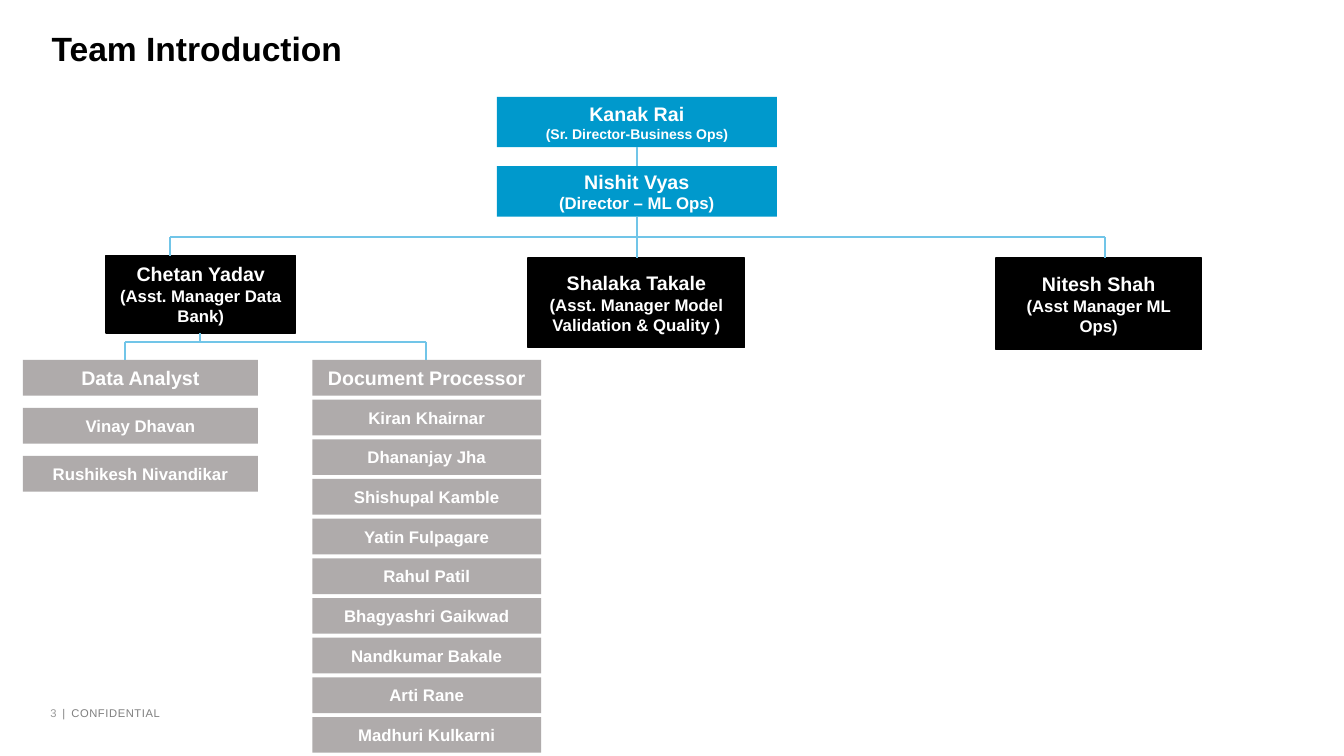
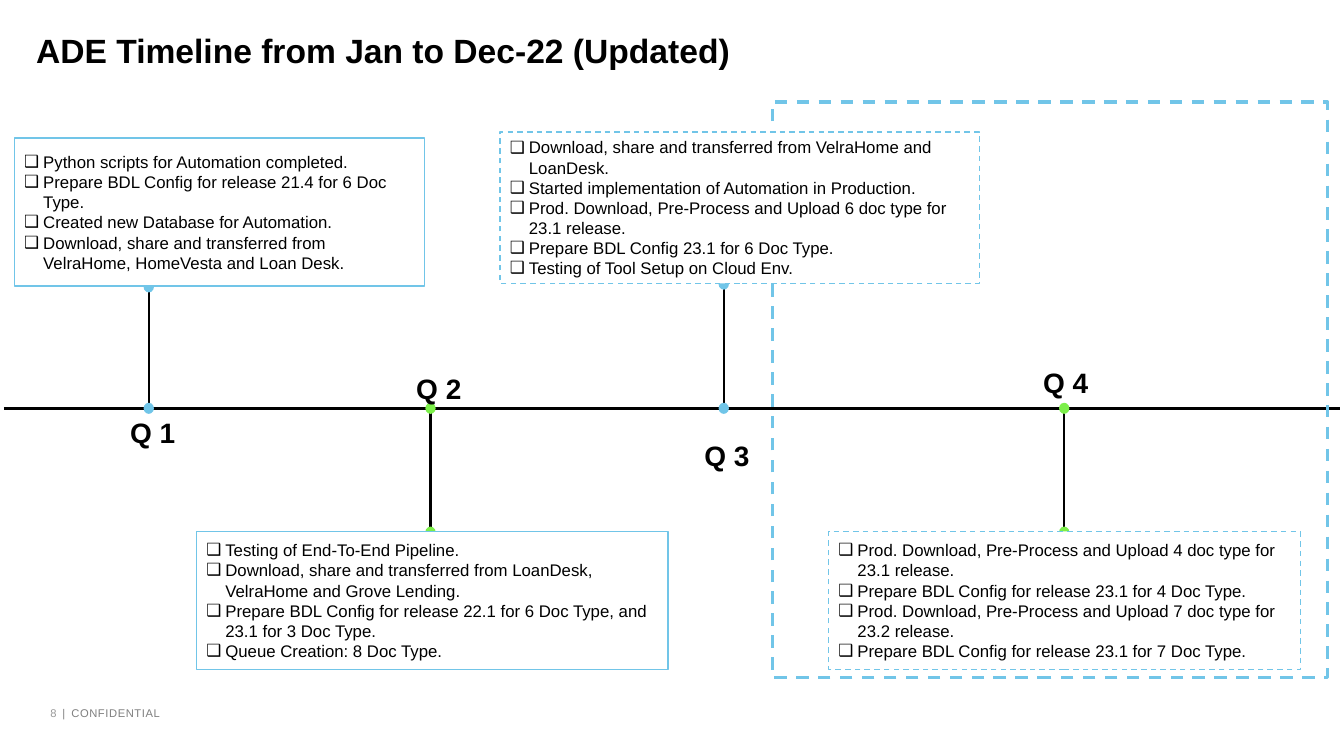
from dataclasses import dataclass

from lxml.etree import SubElement
from pptx import Presentation
from pptx.dml.color import RGBColor
from pptx.enum.dml import MSO_LINE_DASH_STYLE as Dash
from pptx.enum.shapes import MSO_CONNECTOR as Connector, MSO_SHAPE as Shape
from pptx.enum.text import MSO_ANCHOR as Anchor, MSO_AUTO_SIZE as AutoSize, PP_ALIGN as Align
from pptx.oxml.ns import qn
from pptx.util import Cm, Pt


@dataclass(frozen=True)
class Theme:
    font: str = "Arial"
    black: str = "000000"
    white: str = "FFFFFF"
    executive: str = "0099CC"
    member: str = "AFABAB"
    line: str = "71C5E8"
    upper_dot: str = "70C5E8"
    lower_dot: str = "7CEF4A"
    footer_colors: tuple = ("999999", "808080", "7F7F7F")
    title_size: int = 24
    quarter_size: int = 20
    name_size: int = 14
    body_size: int = 12
    small_size: int = 10
    footer_size: int = 8


@dataclass(frozen=True)
class Box:
    """A rectangle in centimetres."""
    left: float
    top: float
    width: float
    height: float

    @property
    def bottom(self):
        return self.top + self.height

    @property
    def center_x(self):
        return self.left + self.width / 2

    def inner(self, left, top, width, height):
        return Box(self.left + left, self.top + top, width, height)

    def lengths(self):
        return [Cm(value) for value in (self.left, self.top, self.width, self.height)]


THEME = Theme()


# Shared parts

def rgb(value):
    return RGBColor.from_string(value)


def style_font(paragraph, size, color=None, bold=False):
    font = paragraph.font
    font.name, font.size, font.bold = THEME.font, Pt(size), bold
    if color:
        font.color.rgb = rgb(color)


def clear_margins(frame):
    frame.margin_left = frame.margin_right = frame.margin_top = frame.margin_bottom = 0


def add_shape(slide, box, kind=Shape.RECTANGLE, fill=None, line=None, width=1, dashed=False):
    shape = slide.shapes.add_shape(kind, *box.lengths())
    shape.shadow.inherit = False
    if fill:
        shape.fill.solid()
        shape.fill.fore_color.rgb = rgb(fill)
    else:
        shape.fill.background()
    if line:
        shape.line.color.rgb = rgb(line)
        shape.line.width = Pt(width)
        if dashed:
            shape.line.dash_style = Dash.DASH
    else:
        shape.line.fill.background()
    return shape


def add_line(slide, start, end, color=THEME.line, width=1.5):
    points = [Cm(value) for value in (*start, *end)]
    connector = slide.shapes.add_connector(Connector.STRAIGHT, *points)
    connector.line.color.rgb = rgb(color)
    connector.line.width = Pt(width)
    SubElement(connector._element.spPr, qn("a:effectLst"))


def add_text_box(slide, box, wrap):
    frame = slide.shapes.add_textbox(*box.lengths()).text_frame
    frame.word_wrap = wrap
    clear_margins(frame)
    return frame


def add_title(slide, text, box):
    title = slide.shapes.title
    title.left, title.top, title.width, title.height = box.lengths()
    frame = title.text_frame
    frame.text = text
    frame.auto_size = AutoSize.NONE
    frame.vertical_anchor = Anchor.TOP
    clear_margins(frame)
    paragraph = frame.paragraphs[0]
    paragraph.alignment = Align.LEFT
    paragraph.line_spacing = 0.9
    style_font(paragraph, THEME.title_size, THEME.black, bold=True)


def add_footer(slide, number):
    frame = add_text_box(slide, Box(1.27, 17.8, 4.4, 0.34), wrap=True)
    paragraph = frame.paragraphs[0]
    tabs = SubElement(paragraph._p.get_or_add_pPr(), qn("a:tabLst"))
    for position in (0.3, 0.53):
        SubElement(tabs, qn("a:tab"), pos=str(Cm(position)), algn="l")
    style_font(paragraph, THEME.footer_size)
    for text, color in zip((f"{number}\t", "|\t", "CONFIDENTIAL"), THEME.footer_colors):
        run = paragraph.add_run()
        run.text = text
        run.font.color.rgb = rgb(color)
    run._r.get_or_add_rPr().set("spc", "40")


def add_slide(presentation, title, title_box, number):
    slide = presentation.slides.add_slide(presentation.slide_layouts[5])
    add_title(slide, title, title_box)
    add_footer(slide, number)
    return slide


# Team slide

EXECUTIVES = [
    ("Kanak Rai", "(Sr. Director-Business Ops)", THEME.small_size),
    ("Nishit Vyas", "(Director – ML Ops)", THEME.body_size),
]
# Name, role, place in the chart, position of the line above
MANAGERS = [
    ("Chetan Yadav", "(Asst. Manager Data Bank)", (2.09, 4, 4.78, 1.95), 3.71),
    ("Shalaka Takale", "(Asst. Manager Model Validation & Quality )", (12.73, 4.06, 5.46, 2.26), 15.47),
    ("Nitesh Shah", "(Asst Manager ML Ops)", (24.52, 4.06, 5.18, 2.31), 27.26),
]
# Left, width, row pitch, position of the line above, heading and members
TEAMS = [
    (0, 5.92, 1.21, 2.57, ["Data Analyst", "Vinay Dhavan", "Rushikesh Nivandikar"]),
    (7.29, 5.77, 1, 10.16, [
        "Document Processor", "Kiran Khairnar", "Dhananjay Jha", "Shishupal Kamble",
        "Yatin Fulpagare", "Rahul Patil", "Bhagyashri Gaikwad", "Nandkumar Bakale",
        "Arti Rane", "Madhuri Kulkarni"]),
]


def add_card(slide, box, fill, lines, line=None):
    """Centred card; lines holds pairs of text and size."""
    frame = add_shape(slide, box, fill=fill, line=line).text_frame
    frame.word_wrap = True
    frame.vertical_anchor = Anchor.MIDDLE
    for index, (text, size) in enumerate(lines):
        paragraph = frame.paragraphs[0] if index == 0 else frame.add_paragraph()
        paragraph.text = text
        paragraph.alignment = Align.CENTER
        style_font(paragraph, size, THEME.white, bold=True)


def add_branches(slide, stem, bus_y, drops):
    """Stem down to a horizontal bus, then one drop to each end point."""
    add_line(slide, stem, (stem[0], bus_y))
    positions = [x for x, _ in drops]
    add_line(slide, (min(positions), bus_y), (max(positions), bus_y))
    for x, y in drops:
        add_line(slide, (x, bus_y), (x, y))


def add_team(slide, box, pitch, names):
    for row, name in enumerate(names):
        size = THEME.body_size if row else THEME.name_size
        add_card(slide, box.inner(0, row * pitch, box.width, 0.9), THEME.member, [(name, size)])


def add_org_chart(slide, box):
    # Executives
    executive_boxes = [box.inner(11.94, row * 1.75, 7.06, 1.27) for row in range(len(EXECUTIVES))]
    for place, (name, role, size) in zip(executive_boxes, EXECUTIVES):
        add_card(slide, place, THEME.executive, [(name, THEME.name_size), (role, size)])
    first, second = executive_boxes
    add_line(slide, (first.center_x, first.bottom), (second.center_x, second.top))

    # Managers
    drops = []
    manager_boxes = [box.inner(*place) for _, _, place, _ in MANAGERS]
    for place, (name, role, _, drop_x) in zip(manager_boxes, MANAGERS):
        lines = [(name, THEME.name_size), (role, THEME.body_size)]
        add_card(slide, place, THEME.black, lines, line=THEME.black)
        drops.append((box.left + drop_x, place.top))
    add_branches(slide, (second.center_x, second.bottom), box.top + 3.53, drops)

    # Teams
    drops = []
    for left, width, pitch, drop_x, names in TEAMS:
        place = box.inner(left, 6.63, width, box.height - 6.63)
        add_team(slide, place, pitch, names)
        drops.append((box.left + drop_x, place.top))
    add_branches(slide, (box.left + 4.45, manager_boxes[0].bottom), box.top + 6.17, drops)


# Timeline slide

@dataclass(frozen=True)
class Quarter:
    name: str
    label_at: tuple
    stem_x: float
    card: tuple
    above: bool
    dashed: bool
    items: list


QUARTERS = [
    Quarter("Q 1", (3.18, 7.89), 3.65, (0.26, 0.91, 10.34, 3.73), True, False, [
        "Python scripts for Automation completed.",
        "Prepare BDL Config for release 21.4 for 6 Doc Type.",
        "Created new Database for Automation.",
        "Download, share and transferred from VelraHome, HomeVesta and Loan Desk."]),
    Quarter("Q 2", (10.39, 6.78), 10.75, (4.85, 10.82, 11.89, 3.48), False, False, [
        "Testing of End-To-End Pipeline.",
        "Download, share and transferred from LoanDesk, VelraHome and Grove Lending.",
        "Prepare BDL Config for release 22.1 for 6 Doc Type, and 23.1 for 3 Doc Type.",
        "Queue Creation: 8 Doc Type."]),
    Quarter("Q 3", (17.65, 8.48), 18.14, (12.5, 0.76, 12.09, 3.81), True, True, [
        "Download, share and transferred from VelraHome and LoanDesk.",
        "Started implementation of Automation in Production.",
        "Prod. Download, Pre-Process and Upload 6 doc type for 23.1 release.",
        "Prepare BDL Config 23.1 for 6 Doc Type.",
        "Testing of Tool Setup on Cloud Env."]),
    Quarter("Q 4", (26.19, 6.65), 26.72, (20.78, 10.82, 11.89, 3.48), False, True, [
        "Prod. Download, Pre-Process and Upload 4 doc type for 23.1 release.",
        "Prepare BDL Config for release 23.1 for 4 Doc Type.",
        "Prod. Download, Pre-Process and Upload 7 doc type for 23.2 release.",
        "Prepare BDL Config for release 23.1 for 7 Doc Type."]),
]


def add_checklist(slide, box, items, dashed):
    frame = add_shape(slide, box, fill=THEME.white, line=THEME.line, dashed=dashed).text_frame
    frame.word_wrap = True
    frame.vertical_anchor = Anchor.MIDDLE
    for index, item in enumerate(items):
        paragraph = frame.paragraphs[0] if index == 0 else frame.add_paragraph()
        paragraph.text = item
        paragraph.alignment = Align.LEFT
        properties = paragraph._p.get_or_add_pPr()
        properties.set("marL", str(Cm(0.48)))
        properties.set("indent", str(-Cm(0.48)))
        SubElement(properties, qn("a:buFont"), typeface=THEME.font)
        SubElement(properties, qn("a:buChar"), char="❑")
        style_font(paragraph, THEME.body_size, THEME.black)


def add_quarter(slide, box, quarter, axis_y):
    card = box.inner(*quarter.card)
    x = box.left + quarter.stem_x
    card_y = card.bottom if quarter.above else card.top
    color = THEME.upper_dot if quarter.above else THEME.lower_dot

    # Stem with a dot at each end
    add_line(slide, (x, axis_y), (x, card_y), THEME.black)
    for y in (axis_y, card_y + 0.02):
        add_shape(slide, Box(x - 0.13, y - 0.14, 0.26, 0.28), Shape.OVAL, fill=color)

    # Label and checklist
    frame = add_text_box(slide, box.inner(*quarter.label_at, 1.14, 0.86), wrap=False)
    paragraph = frame.paragraphs[0]
    paragraph.text = quarter.name
    style_font(paragraph, THEME.quarter_size, THEME.black, bold=True)
    add_checklist(slide, card, quarter.items, quarter.dashed)


def add_timeline(slide, box):
    axis_y = box.top + 7.72
    add_line(slide, (box.left, axis_y), (box.left + box.width, axis_y), THEME.black, 2.25)
    add_shape(slide, box.inner(19.36, 0, 14, 14.5), line=THEME.line, width=2.25, dashed=True)
    for quarter in QUARTERS:
        add_quarter(slide, box, quarter, axis_y)


def main():
    presentation = Presentation()
    presentation.slide_width, presentation.slide_height = Cm(33.87), Cm(19.05)
    team = add_slide(presentation, "Team Introduction", Box(1.3, 0.81, 31.29, 1.4), 3)
    add_org_chart(team, Box(0.58, 2.44, 29.7, 16.54))
    timeline = add_slide(presentation, "ADE Timeline from Jan to Dec-22 (Updated)",
                         Box(0.91, 0.87, 30.58, 1.17), 8)
    add_timeline(timeline, Box(0.1, 2.57, 33.66, 14.5))
    presentation.save("out.pptx")


if __name__ == "__main__":
    main()
